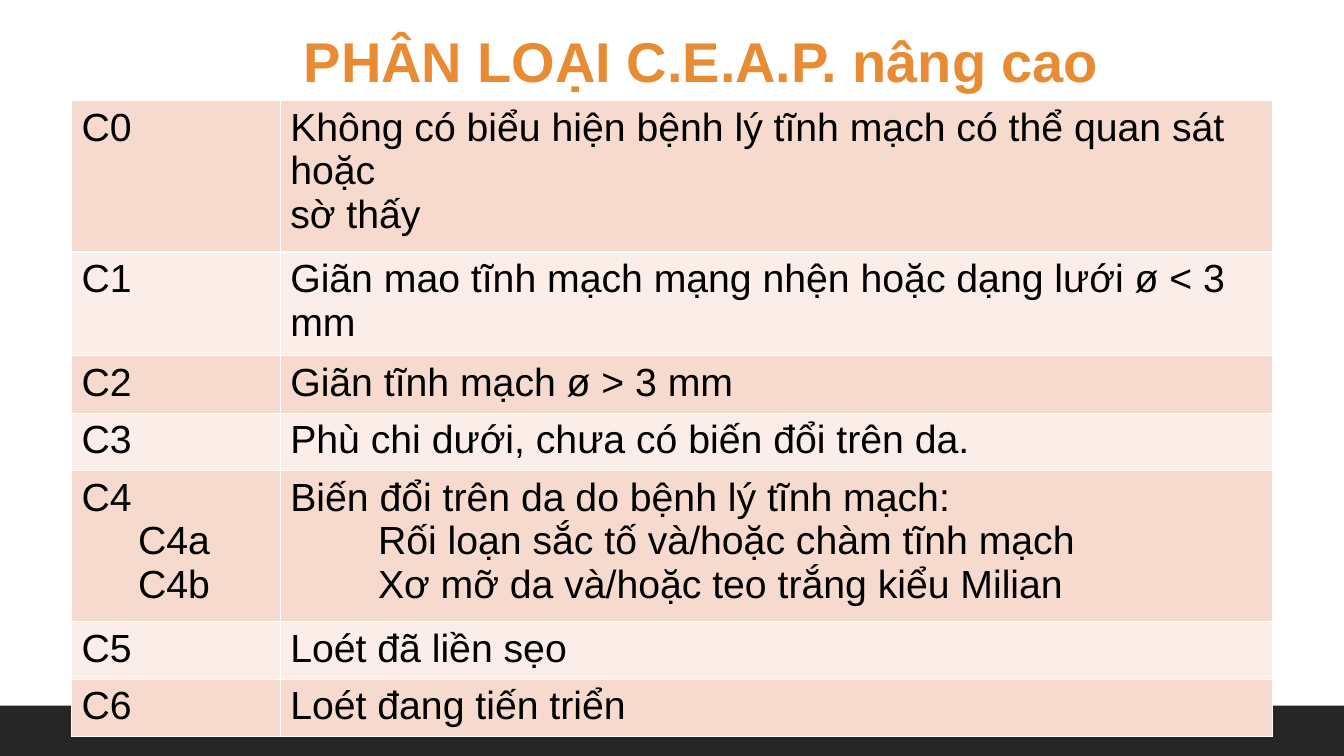
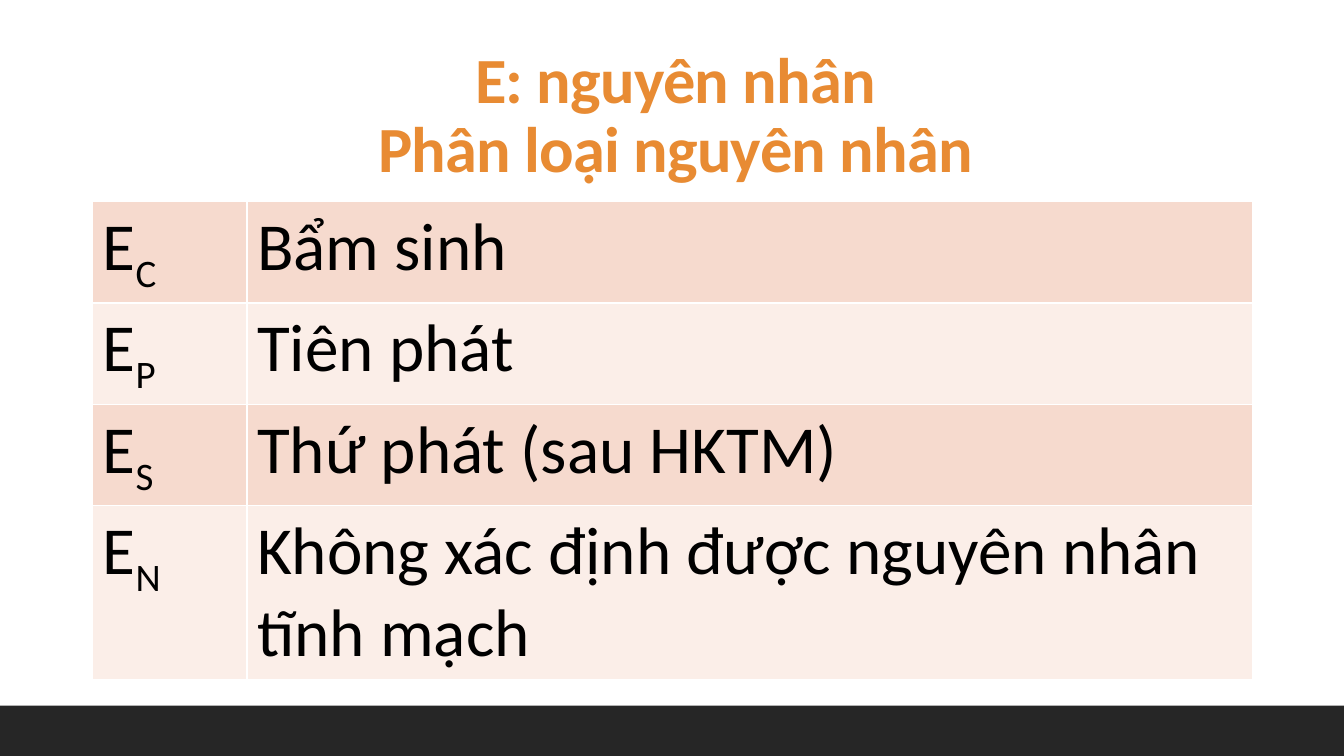
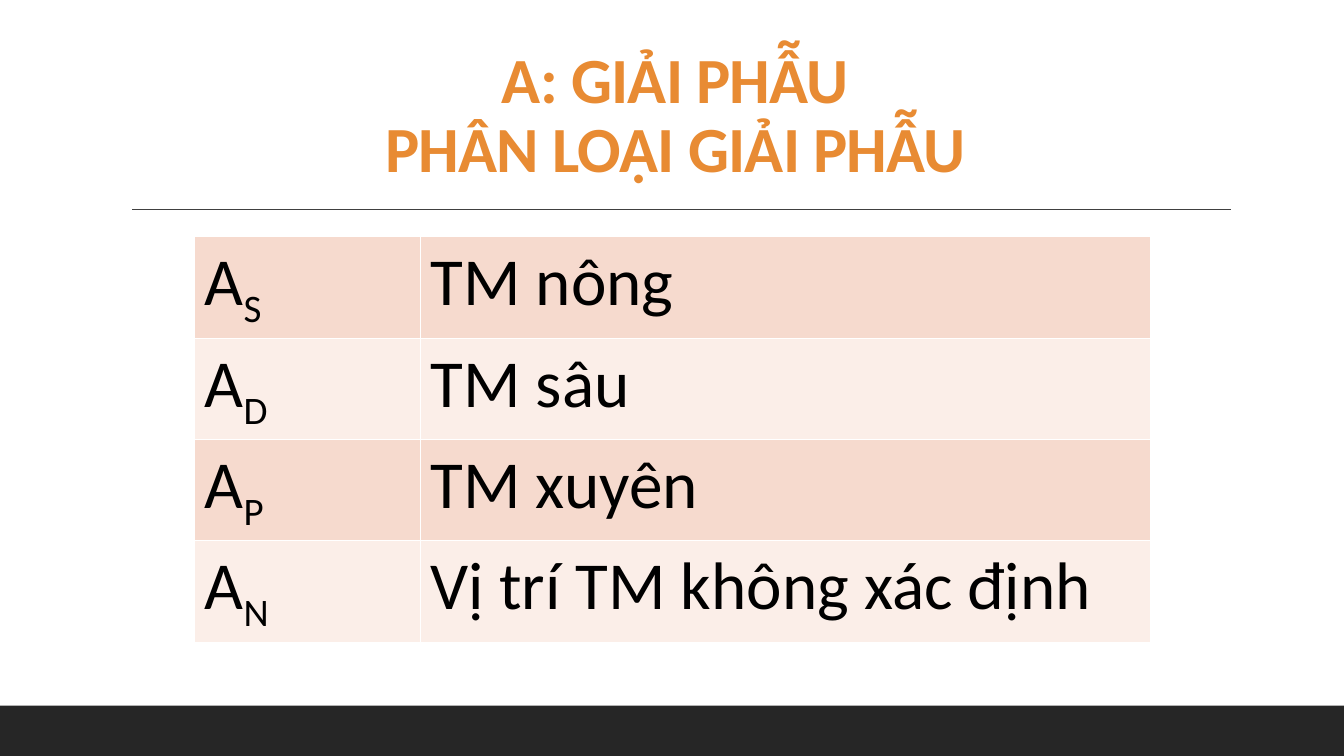
from dataclasses import dataclass

from lxml.etree import SubElement
from pptx import Presentation
from pptx.dml.color import RGBColor
from pptx.enum.shapes import MSO_CONNECTOR, MSO_SHAPE
from pptx.enum.text import MSO_ANCHOR, MSO_AUTO_SIZE, PP_ALIGN
from pptx.oxml.ns import qn
from pptx.util import Emu, Pt

PX = 9144  # EMU per px, 100 px to the inch
W, H = 1333, 750


@dataclass(frozen=True)
class Theme:
    title: str = "E88B33"
    text: str = "000000"
    band: str = "262626"
    rule: str = "404040"
    border: str = "FFFFFF"
    rows: tuple = ("F6DACE", "FBEEE8")


T = Theme()

# Content: a cell is a string or a list of (text, indent); "_" starts a subscript
TOP_TITLE = dict(box=(144, 21, 1053, 77), font="Arial", size=40, indent=50)
BOTTOM_TITLE = dict(box=(120, 31, 1100, 159), font="Calibri", size=46,
                    anchor=MSO_ANCHOR.BOTTOM, line_spacing=0.9, spacing=-50)

SLIDES = [
    dict(
        title="PHÂN LOẠI C.E.A.P. nâng cao", title_style=TOP_TITLE, rule=False,
        at=(71, 100), cols=(207, 984), heights=(150, 103, 57, 57, 150, 57, 57),
        font="Arial", size=28,
        rows=[
            ("C0", [("Không có biểu hiện bệnh lý tĩnh mạch có thể quan sát hoặc", 0),
                    ("sờ thấy", 0)]),
            ("C1", "Giãn mao tĩnh mạch mạng nhện hoặc dạng lưới ø < 3 mm"),
            ("C2", "Giãn tĩnh mạch ø > 3 mm"),
            ("C3", "Phù chi dưới, chưa có biến đổi trên da."),
            ([("C4", 0), ("C4a", 56), ("C4b", 56)],
             [("Biến đổi trên da do bệnh lý tĩnh mạch:", 0),
              ("Rối loạn sắc tố và/hoặc chàm tĩnh mạch", 87),
              ("Xơ mỡ da và/hoặc teo trắng kiểu Milian", 87)]),
            ("C5", "Loét đã liền sẹo"),
            ("C6", "Loét đang tiến triển"),
        ],
    ),
    dict(
        title="E: nguyên nhân\nPhân loại nguyên nhân", title_style=BOTTOM_TITLE, rule=False,
        at=(92, 200), cols=(153, 997), heights=(100, 100, 100, 172),
        font="Calibri", size=48,
        rows=[
            ("E_C", "Bẩm sinh"),
            ("E_P", "Tiên phát"),
            ("E_S", "Thứ phát (sau HKTM)"),
            ("E_N", "Không xác định được nguyên nhân tĩnh mạch"),
        ],
    ),
    dict(
        title="A: GIẢI PHẪU\nPHÂN LOẠI GIẢI PHẪU", title_style=BOTTOM_TITLE, rule=True,
        at=(193, 235), cols=(224, 724), heights=(100, 100, 100, 100),
        font="Calibri", size=48,
        rows=[
            ("A_S", "TM nông"),
            ("A_D", "TM sâu"),
            ("A_P", "TM xuyên"),
            ("A_N", "Vị trí TM không xác định"),
        ],
    ),
]


def px(*values):
    return [Emu(v * PX) for v in values]


def rgb(color):
    return RGBColor.from_string(color)


def write(p, text, font, size, color=T.text, bold=False, indent=0, spacing=None):
    """Fill a paragraph; a newline is a line break, "_" starts a subscript."""
    if indent:
        p._p.get_or_add_pPr().set("marL", str(indent * PX))
    for i, line in enumerate(text.split("\n")):
        if i:
            p.add_line_break()
        for j, part in enumerate(line.split("_")):
            r = p.add_run()
            r.text = part
            r.font.name, r.font.size, r.font.bold = font, Pt(size), bold
            r.font.color.rgb = rgb(color)
            if spacing:
                r._r.get_or_add_rPr().set("spc", str(spacing))
            if j:
                r._r.get_or_add_rPr().set("baseline", "-25000")


def add_band(s):
    sp = s.shapes.add_shape(MSO_SHAPE.RECTANGLE, *px(0, 700, W, 50))
    sp.shadow.inherit = False
    sp.fill.solid()
    sp.fill.fore_color.rgb = rgb(T.band)
    sp.line.fill.background()


def add_rule(s):
    line = s.shapes.add_connector(MSO_CONNECTOR.STRAIGHT, *px(131, 208, 1221, 208))
    line.line.color.rgb = rgb(T.rule)
    line.line.width = Pt(1)
    SubElement(line._element.spPr, qn("a:effectLst"))


def add_title(s, text, box, anchor=MSO_ANCHOR.TOP, line_spacing=None, **fmt):
    tf = s.shapes.add_textbox(*px(*box)).text_frame
    tf.word_wrap = True
    tf.auto_size = MSO_AUTO_SIZE.NONE
    tf.vertical_anchor = anchor
    p = tf.paragraphs[0]
    p.alignment = PP_ALIGN.CENTER
    if line_spacing:
        p.line_spacing = line_spacing
    write(p, text, color=T.title, bold=True, **fmt)


def style_cell(cell, fill):
    tcPr = cell._tc.get_or_add_tcPr()
    for side in ("lnL", "lnR", "lnT", "lnB"):
        ln = SubElement(tcPr, qn(f"a:{side}"), w=str(Pt(1)))
        SubElement(SubElement(ln, qn("a:solidFill")), qn("a:srgbClr"), val=T.border)
    cell.fill.solid()
    cell.fill.fore_color.rgb = rgb(fill)


def add_grid(s, at, cols, heights, rows, font, size):
    frame = s.shapes.add_table(len(rows), len(cols), *px(*at, sum(cols), sum(heights)))
    table = frame.table
    table.first_row = table.horz_banding = False
    for col, width in zip(table.columns, px(*cols)):
        col.width = width
    for row, height in zip(table.rows, px(*heights)):
        row.height = height
    for i, row in enumerate(rows):
        for j, content in enumerate(row):
            cell = table.cell(i, j)
            style_cell(cell, T.rows[i % 2])
            paras = [(content, 0)] if isinstance(content, str) else content
            tf = cell.text_frame
            for k, (text, indent) in enumerate(paras):
                p = tf.add_paragraph() if k else tf.paragraphs[0]
                write(p, text, font, size, indent=indent)


def main():
    prs = Presentation()
    prs.slide_width, prs.slide_height = px(W, H)
    for d in SLIDES:
        s = prs.slides.add_slide(prs.slide_layouts[6])
        add_band(s)
        if d["rule"]:
            add_rule(s)
        add_title(s, d["title"], **d["title_style"])
        add_grid(s, d["at"], d["cols"], d["heights"], d["rows"], d["font"], d["size"])
    prs.save("out.pptx")


if __name__ == "__main__":
    main()
